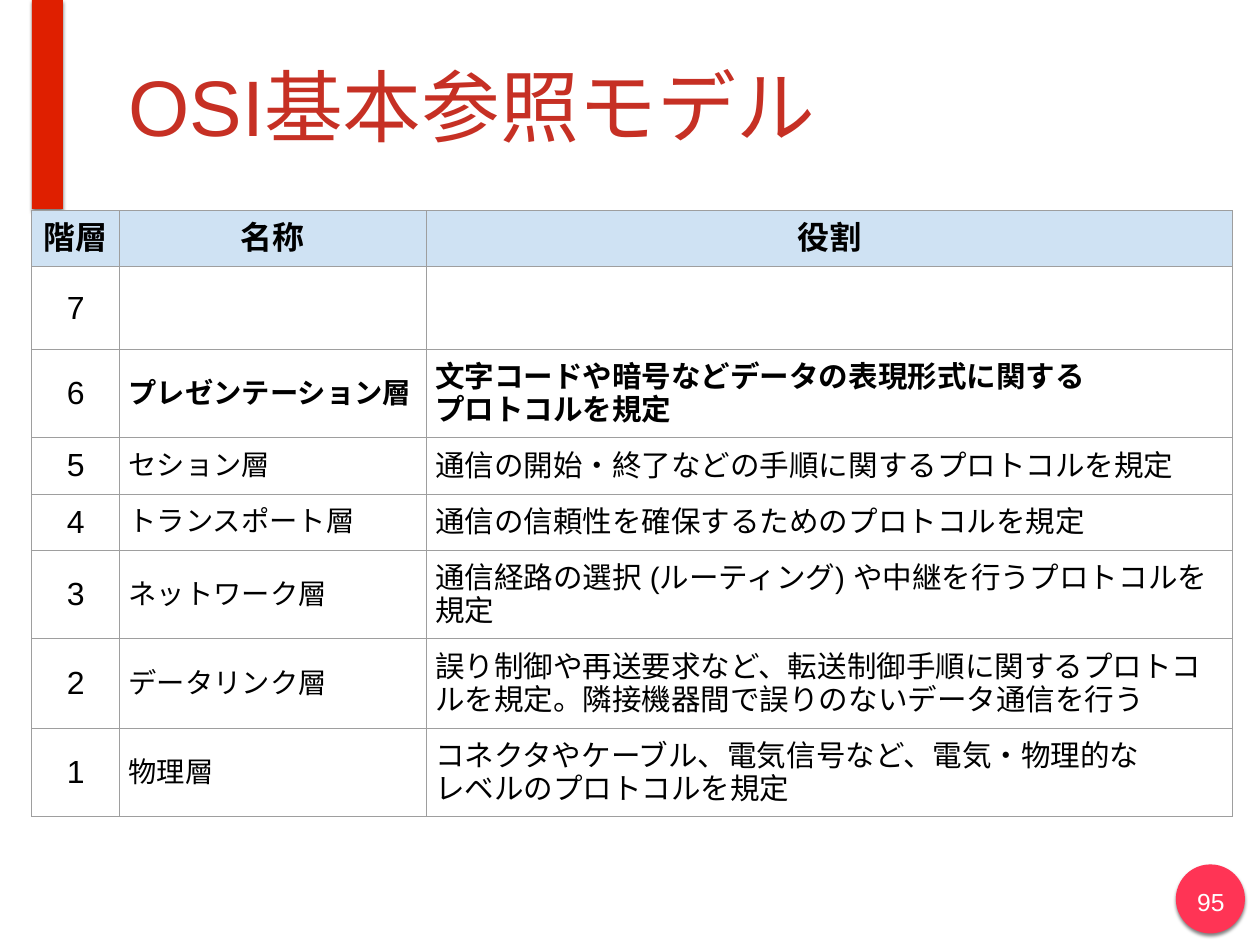
from dataclasses import dataclass

import pptx
import pptx.dml.color
import pptx.enum.shapes
import pptx.enum.text
import pptx.oxml
import pptx.oxml.ns
import pptx.util
from pptx.util import Inches

FONT = "Arial"
COLORS = {
    "title": "C63024",
    "bar": "DF1F00",
    "badge": "FF3455",
    "header": "CFE2F3",
    "border": "9E9E9E",
    "text": "000000",
    "page": "FFFFFF",
}
ALIGN = pptx.enum.text.PP_ALIGN
MIDDLE = pptx.enum.text.MSO_ANCHOR.MIDDLE
PRESET = pptx.enum.shapes.MSO_SHAPE
NAMESPACE = pptx.oxml.ns.nsdecls("a")
Box = tuple[float, float, float, float]


@dataclass
class Layer:
    number: str
    name: str
    role: str
    height: float
    bold: bool = False


@dataclass
class Column:
    heading: str
    width: float
    size: int
    align: ALIGN


COLUMNS = [
    Column("階層", 0.99, 26, ALIGN.CENTER),
    Column("名称", 3.46, 23, ALIGN.LEFT),
    Column("役割", 9.1, 24, ALIGN.LEFT),
]
HEADER_HEIGHT = 0.63
LAYERS = [
    Layer("7", "", "", 0.93),
    Layer("6", "プレゼンテーション層",
          "文字コードや暗号などデータの表現形式に関する\nプロトコルを規定", 0.91, bold=True),
    Layer("5", "セション層", "通信の開始・終了などの手順に関するプロトコルを規定", 0.63),
    Layer("4", "トランスポート層", "通信の信頼性を確保するためのプロトコルを規定", 0.63),
    Layer("3", "ネットワーク層",
          "通信経路の選択 (ルーティング) や中継を行うプロトコルを規定", 0.91),
    Layer("2", "データリンク層",
          "誤り制御や再送要求など、転送制御手順に関するプロトコルを規定。"
          "隣接機器間で誤りのないデータ通信を行う", 1.01),
    Layer("1", "物理層",
          "コネクタやケーブル、電気信号など、電気・物理的な\nレベルのプロトコルを規定", 0.91),
]


def rgb(color: str) -> pptx.dml.color.RGBColor:
    return pptx.dml.color.RGBColor.from_string(COLORS[color])


def write(frame, text: str, size: int, color: str, align: ALIGN, bold: bool = False) -> None:
    """Fill a text frame, one paragraph per line of text."""
    frame.text = text
    for paragraph in frame.paragraphs:
        paragraph.alignment = align
        font = paragraph.font
        font.name, font.size, font.bold = FONT, pptx.util.Pt(size), bold
        font.color.rgb = rgb(color)
        east_asian = pptx.oxml.parse_xml(f'<a:ea {NAMESPACE} typeface="{FONT}"/>')
        font._element.find(pptx.oxml.ns.qn("a:latin")).addnext(east_asian)


def add_decoration(slide, preset: PRESET, box: Box, color: str) -> None:
    """Add a filled shape with a soft shadow below it."""
    shape = slide.shapes.add_shape(preset, *map(Inches, box))
    shape.fill.solid()
    shape.fill.fore_color.rgb = rgb(color)
    shape.line.fill.background()
    shape.shadow.inherit = False
    effects = shape._element.spPr.find(pptx.oxml.ns.qn("a:effectLst"))
    effects.append(pptx.oxml.parse_xml(
        f'<a:outerShdw {NAMESPACE} blurRad="38100" dist="25400" dir="5400000" rotWithShape="0">'
        '<a:srgbClr val="000000"><a:alpha val="50000"/></a:srgbClr></a:outerShdw>'))


def add_label(slide, box: Box, text: str, size: int, color: str, align: ALIGN):
    frame = slide.shapes.add_textbox(*map(Inches, box)).text_frame
    frame.word_wrap = True
    frame.margin_left = frame.margin_right = Inches(0.06)
    frame.margin_top = frame.margin_bottom = Inches(0.06)
    write(frame, text, size, color, align)
    return frame


def set_borders(cell) -> None:
    properties = cell._tc.get_or_add_tcPr()
    for index, side in enumerate(("lnL", "lnR", "lnT", "lnB")):
        properties.insert(index, pptx.oxml.parse_xml(
            f'<a:{side} {NAMESPACE} w="9525"><a:solidFill>'
            f'<a:srgbClr val="{COLORS["border"]}"/></a:solidFill></a:{side}>'))


def fill_cell(cell, text: str, size: int, align: ALIGN, bold: bool, header: bool) -> None:
    cell.vertical_anchor = MIDDLE
    cell.margin_left = cell.margin_right = Inches(0.1)
    cell.margin_top = cell.margin_bottom = Inches(0.1)
    if header:
        cell.fill.solid()
        cell.fill.fore_color.rgb = rgb("header")
    else:
        cell.fill.background()
    set_borders(cell)
    if text:
        write(cell.text_frame, text, size, "text", align, bold)


def add_layer_table(slide) -> None:
    heights = [HEADER_HEIGHT] + [layer.height for layer in LAYERS]
    width = sum(column.width for column in COLUMNS)
    table = slide.shapes.add_table(
        len(heights), len(COLUMNS), Inches(0.36), Inches(2.38),
        Inches(width), Inches(sum(heights))).table
    table.first_row = table.horz_banding = False
    for row, height in zip(table.rows, heights):
        row.height = Inches(height)
    for index, column in enumerate(COLUMNS):
        table.columns[index].width = Inches(column.width)
        fill_cell(table.cell(0, index), column.heading, 26, ALIGN.CENTER, True, True)
        for row, layer in enumerate(LAYERS, start=1):
            text = (layer.number, layer.name, layer.role)[index]
            fill_cell(table.cell(row, index), text, column.size, column.align,
                      layer.bold and index > 0, False)


def main() -> None:
    deck = pptx.Presentation()
    deck.slide_width, deck.slide_height = Inches(14.22), Inches(10.67)
    slide = deck.slides.add_slide(deck.slide_layouts[6])
    add_decoration(slide, PRESET.OVAL, (13.27, 9.76, 0.78, 0.78), "badge")
    add_decoration(slide, PRESET.RECTANGLE, (0.36, 0, 0.35, 2.36), "bar")
    title = add_label(slide, (1.39, 0.12, 12.14, 2.12), "OSI基本参照モデル",
                      64, "title", ALIGN.LEFT)
    title.vertical_anchor = MIDDLE
    add_label(slide, (13.42, 9.95, 0.49, 0.45), "95", 20, "page", ALIGN.CENTER)
    add_layer_table(slide)
    deck.save("out.pptx")


if __name__ == "__main__":
    main()
